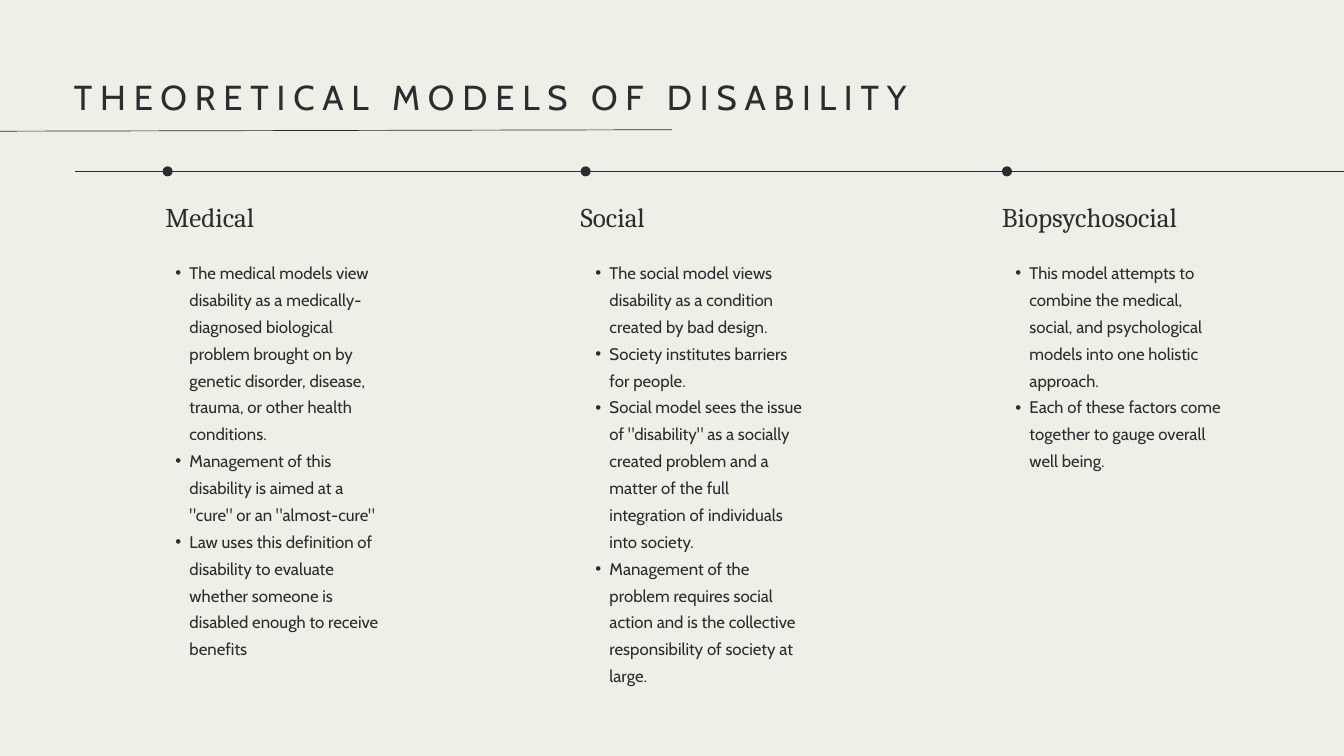
from dataclasses import dataclass

from lxml import etree
from pptx import Presentation
from pptx.dml.color import RGBColor
from pptx.enum import shapes, text
from pptx.oxml.ns import qn
from pptx.util import Pt

INK = RGBColor(0x2B, 0x2C, 0x30)
PAPER = RGBColor(0xEF, 0xEE, 0xE7)
SANS, SERIF = "Cabin", "Cambria"

AXIS_Y = 183.6
DOT_SIZE = 10.8
HEADING_TOP, HEADING_WIDTH, HEADING_HEIGHT = 214.6, 219.6, 33.8
LIST_LEFT, LIST_PITCH, LIST_TOP, LIST_WIDTH = 172, 450, 274.3, 243.4
LIST_INDENT, BULLET_HANG = 31, 15.1


@dataclass
class Model:
    name: str
    dot_left: float
    heading_left: float
    list_height: float
    points: list[str]


MODELS = [
    Model("Medical", 174.2, 177.1, 481, [
        "The medical models view disability as a medically-diagnosed biological problem "
        "brought on by genetic disorder, disease, trauma, or other health conditions.",
        'Management of this disability is aimed at a "cure" or an "almost-cure"',
        "Law uses this definition of disability to evaluate whether someone is "
        "disabled enough to receive benefits",
    ]),
    Model("Social", 622.1, 622.1, 452.9, [
        "The social model views disability as a condition created by bad design.",
        "Society institutes barriers for people.",
        'Social model sees the issue of "disability" as a socially created problem '
        "and a matter of the full integration of individuals into society.",
        "Management of the problem requires social action and is the collective "
        "responsibility of society at large.",
    ]),
    Model("Biopsychosocial", 1073.5, 1073.5, 224.6, [
        "This model attempts to combine the medical, social, and psychological "
        "models into one holistic approach.",
        "Each of these factors come together to gauge overall well being.",
    ]),
]


def place(shape, left: float, top: float, width: float, height: float) -> None:
    shape.left, shape.top = Pt(left), Pt(top)
    shape.width, shape.height = Pt(width), Pt(height)


def prepare_frame(shape):
    frame = shape.text_frame
    frame.margin_left = frame.margin_right = frame.margin_top = frame.margin_bottom = 0
    frame.word_wrap = True
    frame.auto_size = text.MSO_AUTO_SIZE.NONE
    frame.vertical_anchor = text.MSO_ANCHOR.TOP
    return frame


def write(paragraph, words: str, font: str, size: float, leading: float):
    paragraph.alignment = text.PP_ALIGN.LEFT
    paragraph.line_spacing = Pt(leading)
    paragraph.space_before = paragraph.space_after = Pt(0)
    run = paragraph.add_run()
    run.text = words
    run.font.name, run.font.size, run.font.bold = font, Pt(size), False
    run.font.color.rgb = INK
    return run


def add_bullet(paragraph) -> None:
    properties = paragraph._p.get_or_add_pPr()
    properties.set("marL", str(Pt(LIST_INDENT)))
    properties.set("indent", str(-Pt(BULLET_HANG)))
    etree.SubElement(properties, qn("a:buFont")).set("typeface", "Arial")
    etree.SubElement(properties, qn("a:buChar")).set("char", "•")


def add_rule(slide, x1: float, y1: float, x2: float, y2: float) -> None:
    rule = slide.shapes.add_connector(
        shapes.MSO_CONNECTOR.STRAIGHT, Pt(x1), Pt(y1), Pt(x2), Pt(y2))
    rule.line.color.rgb = INK
    rule.line.width = Pt(0.75)
    etree.SubElement(rule._element.spPr, qn("a:effectLst"))


def add_model(slide, model: Model, column: int, body) -> None:
    # Marker on the axis
    dot = slide.shapes.add_shape(
        shapes.MSO_SHAPE.OVAL, Pt(model.dot_left), Pt(AXIS_Y - DOT_SIZE / 2),
        Pt(DOT_SIZE), Pt(DOT_SIZE))
    dot.shadow.inherit = False
    dot.fill.solid()
    dot.fill.fore_color.rgb = INK
    dot.line.fill.background()

    # Heading
    heading = slide.shapes.add_textbox(
        Pt(model.heading_left), Pt(HEADING_TOP), Pt(HEADING_WIDTH), Pt(HEADING_HEIGHT))
    write(prepare_frame(heading).paragraphs[0], model.name, SERIF, 29, 34.8)

    # Bulleted list
    place(body, LIST_LEFT + column * LIST_PITCH, LIST_TOP, LIST_WIDTH, model.list_height)
    frame = prepare_frame(body)
    for index, point in enumerate(model.points):
        paragraph = frame.add_paragraph() if index else frame.paragraphs[0]
        add_bullet(paragraph)
        write(paragraph, point, SANS, 18, 28.8)


def main() -> None:
    presentation = Presentation()
    presentation.slide_width, presentation.slide_height = Pt(1440), Pt(810)
    slide = presentation.slides.add_slide(presentation.slide_layouts.get_by_name("Comparison"))
    slide.background.fill.solid()
    slide.background.fill.fore_color.rgb = PAPER

    # Title and the two rules below it
    title, *bodies = slide.placeholders
    place(title, 79.2, 74.2, 1278, 51.1)
    run = write(prepare_frame(title).paragraphs[0],
                "THEORETICAL MODELS OF DISABILITY", SANS, 37.1, 52)
    run.font._element.set("spc", "840")
    add_rule(slide, -558, 141.8, 720, 139)
    add_rule(slide, 80.6, AXIS_Y, 1450.8, AXIS_Y)

    # One column per model; the layout's spare placeholder goes
    for column, (model, body) in enumerate(zip(MODELS, bodies)):
        add_model(slide, model, column, body)
    for spare in bodies[len(MODELS):]:
        spare._element.getparent().remove(spare._element)

    presentation.save("out.pptx")


if __name__ == "__main__":
    main()
